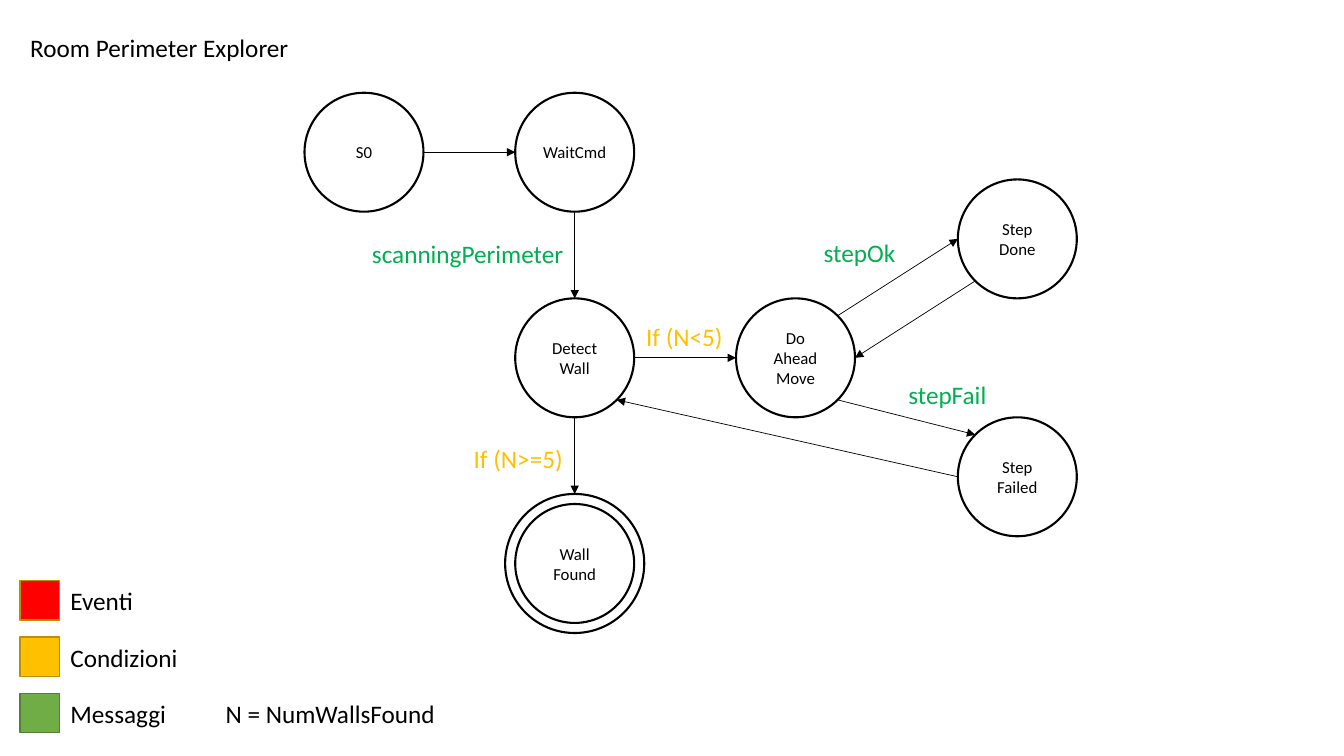
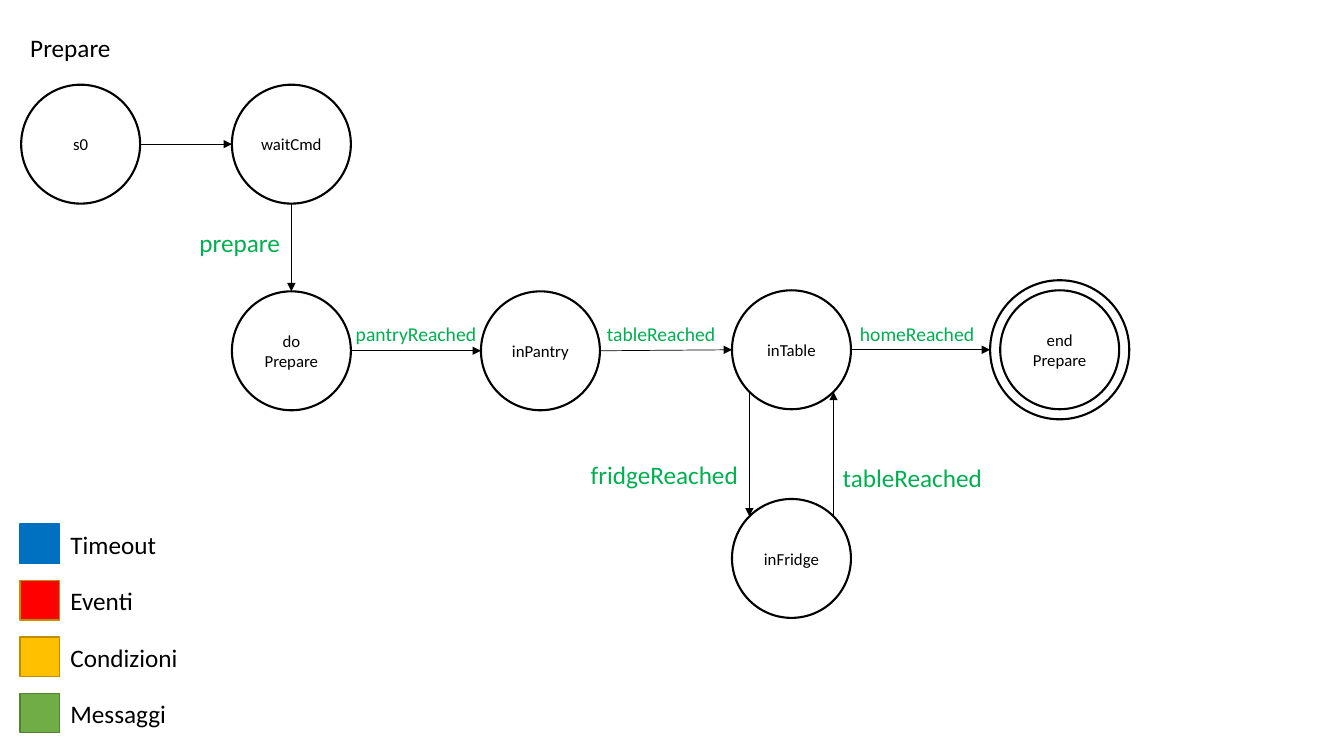
from dataclasses import dataclass
from math import sqrt

from lxml.etree import SubElement
from pptx import Presentation
from pptx.dml.color import RGBColor
from pptx.enum.shapes import MSO_CONNECTOR, MSO_SHAPE
from pptx.enum.text import MSO_ANCHOR, MSO_AUTO_SIZE, PP_ALIGN
from pptx.oxml.ns import qn
from pptx.util import Inches, Pt

FONT = "Calibri"
COLORS = {
    "black": "000000",
    "white": "FFFFFF",
    "message": "00B050",
    "condition": "FFC000",
    "event": "FF0000",
    "timeout": "0070C0",
    "swatch_green": "70AD47",
    "dark_gold": "BD8E00",
    "dark_green": "538035",
}
DIAMETER = 1.18
RING_GAP = 0.1
LEFT = 0.2
LEGEND_BOTTOM = 6.88
LEGEND_STEP = 0.56
SWATCH = 0.39

DIAG = sqrt(0.5)
SITES = {
    "top": (0, 0, -1),
    "top_left": (1, -DIAG, -DIAG),
    "left": (2, -1, 0),
    "bottom_left": (3, -DIAG, DIAG),
    "bottom": (4, 0, 1),
    "bottom_right": (5, DIAG, DIAG),
    "right": (6, 1, 0),
    "top_right": (7, DIAG, -DIAG),
}


@dataclass
class State:
    text: str
    x: float
    y: float
    final: bool = False


@dataclass
class Arrow:
    start: str
    start_site: str
    end: str
    end_site: str


@dataclass
class Label:
    text: str
    x: float
    y: float
    w: float
    color: str = "message"
    size: int = 18


@dataclass
class LegendItem:
    text: str
    w: float
    fill: str
    line: str


@dataclass
class Diagram:
    title: str
    title_w: float
    states: dict[str, State]
    arrows: list[Arrow]
    labels: list[Label]
    legend_count: int


LEGEND = [
    LegendItem("Messaggi", 1.16, "swatch_green", "dark_green"),
    LegendItem("Condizioni", 1.28, "condition", "dark_gold"),
    LegendItem("Eventi", 0.83, "event", "dark_gold"),
    LegendItem("Timeout", 1.06, "timeout", "timeout"),
]

EXPLORER = Diagram(
    "Room Perimeter Explorer", 2.79,
    {
        "s0": State("S0", 3.02, 0.92),
        "wait": State("WaitCmd", 5.11, 0.92),
        "detect": State("Detect\nWall", 5.11, 2.96),
        "ahead": State("Do Ahead Move", 7.3, 2.96),
        "done": State("Step Done", 9.5, 1.78),
        "failed": State("Step Failed", 9.5, 4.14),
        "found": State("Wall Found", 5.11, 5, final=True),
    },
    [
        Arrow("s0", "right", "wait", "left"),
        Arrow("wait", "bottom", "detect", "top"),
        Arrow("detect", "bottom", "found", "top"),
        Arrow("detect", "right", "ahead", "left"),
        Arrow("ahead", "top_right", "done", "left"),
        Arrow("ahead", "bottom_right", "failed", "top_left"),
        Arrow("done", "bottom_left", "ahead", "right"),
        Arrow("failed", "left", "detect", "bottom_right"),
    ],
    [
        Label("scanningPerimeter", 3.59, 2.32, 2.12),
        Label("If (N>=5)", 4.6, 4.35, 1.1, "condition"),
        Label("If (N<5)", 6.31, 3.14, 0.97, "condition"),
        Label("stepOk", 8.07, 2.31, 0.92),
        Label("stepFail", 8.91, 3.71, 0.98),
        Label("N = NumWallsFound", 2.14, LEGEND_BOTTOM, 2.3, "black"),
    ],
    legend_count=3,
)

PREPARE = Diagram(
    "Prepare", 1.01,
    {
        "s0": State("s0", 0.21, 0.84),
        "wait": State("waitCmd", 2.3, 0.84),
        "prepare": State("do\nPrepare", 2.3, 2.89),
        "pantry": State("inPantry", 4.77, 2.89),
        "table": State("inTable", 7.26, 2.88),
        "fridge": State("inFridge", 7.26, 4.95),
        "end": State("end Prepare", 9.92, 2.88, final=True),
    },
    [
        Arrow("s0", "right", "wait", "left"),
        Arrow("wait", "bottom", "prepare", "top"),
        Arrow("prepare", "right", "pantry", "left"),
        Arrow("pantry", "right", "table", "left"),
        Arrow("table", "bottom_left", "fridge", "top_left"),
        Arrow("fridge", "top_right", "table", "bottom_right"),
        Arrow("table", "right", "end", "left"),
    ],
    [
        Label("prepare", 1.88, 2.21, 1.01),
        Label("pantryReached", 3.43, 3.14, 1.41, size=14),
        Label("tableReached", 5.92, 3.14, 1.29, size=14),
        Label("homeReached", 8.43, 3.14, 1.35, size=14),
        Label("fridgeReached", 5.76, 4.51, 1.68),
        Label("tableReached", 8.26, 4.54, 1.6),
    ],
    legend_count=4,
)


def rgb(name: str) -> RGBColor:
    return RGBColor.from_string(COLORS[name])


def write(tf, text: str, size: int = 18, color: str = "black",
          align=PP_ALIGN.LEFT, anchor=MSO_ANCHOR.TOP, wrap: bool = False) -> None:
    tf.text = text
    tf.word_wrap = wrap
    tf.vertical_anchor = anchor
    tf.auto_size = MSO_AUTO_SIZE.NONE if wrap else MSO_AUTO_SIZE.SHAPE_TO_FIT_TEXT
    for p in tf.paragraphs:
        p.alignment = align
        for r in p.runs:
            r.font.name = FONT
            r.font.size = Pt(size)
            r.font.color.rgb = rgb(color)


def add_box(s, kind, x: float, y: float, side: float,
            fill: str = "white", line: str = "black", width: float = 1.5):
    sp = s.shapes.add_shape(kind, Inches(x), Inches(y), Inches(side), Inches(side))
    sp.shadow.inherit = False
    sp.fill.solid()
    sp.fill.fore_color.rgb = rgb(fill)
    sp.line.color.rgb = rgb(line)
    sp.line.width = Pt(width)
    return sp


def add_label(s, label: Label) -> None:
    height = 0.4 if label.size == 18 else 0.34
    tb = s.shapes.add_textbox(Inches(label.x), Inches(label.y),
                              Inches(label.w), Inches(height))
    write(tb.text_frame, label.text, size=label.size, color=label.color)


def add_state(s, state: State):
    ring = None
    if state.final:
        ring = add_box(s, MSO_SHAPE.OVAL, state.x - RING_GAP, state.y - RING_GAP,
                       DIAMETER + 2 * RING_GAP)
    sp = add_box(s, MSO_SHAPE.OVAL, state.x, state.y, DIAMETER)
    write(sp.text_frame, state.text, size=12, align=PP_ALIGN.CENTER,
          anchor=MSO_ANCHOR.MIDDLE, wrap=True)
    return ring or sp


def site_point(sp, site: str) -> tuple[int, int]:
    _, dx, dy = SITES[site]
    radius = sp.width / 2
    return round(sp.left + radius * (1 + dx)), round(sp.top + radius * (1 + dy))


def add_arrow(s, arrow: Arrow, ovals: dict) -> None:
    start, end = ovals[arrow.start], ovals[arrow.end]
    cxn = s.shapes.add_connector(MSO_CONNECTOR.STRAIGHT,
                                 *site_point(start, arrow.start_site),
                                 *site_point(end, arrow.end_site))
    cxn.line.color.rgb = rgb("black")
    cxn.line.width = Pt(0.5)
    SubElement(cxn.line._get_or_add_ln(), qn("a:tailEnd"), type="triangle")
    SubElement(cxn.element.spPr, qn("a:effectLst"))
    joints = cxn.element.find(".//" + qn("p:cNvCxnSpPr"))
    for tag, sp, site in (("a:stCxn", start, arrow.start_site),
                          ("a:endCxn", end, arrow.end_site)):
        SubElement(joints, qn(tag), id=str(sp.shape_id), idx=str(SITES[site][0]))


def add_legend(s, count: int) -> None:
    for i, item in enumerate(LEGEND[:count]):
        y = LEGEND_BOTTOM - i * LEGEND_STEP
        add_box(s, MSO_SHAPE.RECTANGLE, LEFT, y, SWATCH, item.fill, item.line, 1)
        add_label(s, Label(item.text, 0.6, y, item.w, "black"))


def add_title(s, text: str, width: float) -> None:
    title = s.shapes.title
    title.left, title.top = Inches(LEFT), Inches(0.27)
    title.width, title.height = Inches(width), Inches(0.4)
    write(title.text_frame, text)


def add_diagram(prs, diagram: Diagram) -> None:
    s = prs.slides.add_slide(prs.slide_layouts[5])
    add_title(s, diagram.title, diagram.title_w)
    ovals = {key: add_state(s, state) for key, state in diagram.states.items()}
    for arrow in diagram.arrows:
        add_arrow(s, arrow, ovals)
    for label in diagram.labels:
        add_label(s, label)
    add_legend(s, diagram.legend_count)


def main() -> None:
    prs = Presentation()
    prs.slide_width, prs.slide_height = Inches(13.33), Inches(7.5)
    for diagram in (EXPLORER, PREPARE):
        add_diagram(prs, diagram)
    prs.save("out.pptx")


if __name__ == "__main__":
    main()
